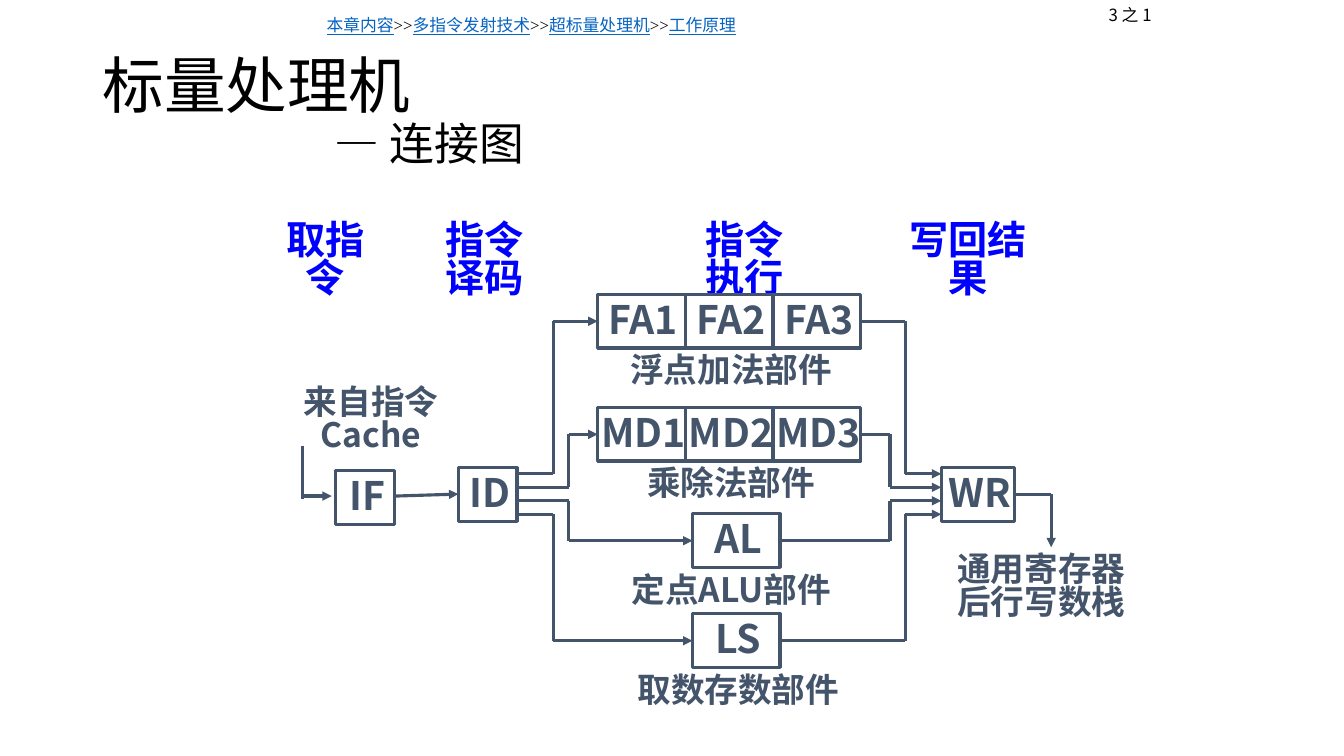
from dataclasses import dataclass

import pptx
import pptx.dml.color
import pptx.enum.shapes
import pptx.enum.text
import pptx.oxml.ns
import pptx.util
from lxml import etree

Cm, Pt = pptx.util.Cm, pptx.util.Pt
RGB = pptx.dml.color.RGBColor.from_string
qn = pptx.oxml.ns.qn
PP_ALIGN = pptx.enum.text.PP_ALIGN
MIDDLE = pptx.enum.text.MSO_ANCHOR.MIDDLE


@dataclass(frozen=True)
class Theme:
    sans: str = "Noto Sans CJK SC"
    serif: str = "Times New Roman"
    black: str = "000000"
    link: str = "0563C1"
    slate: str = "44546A"
    stage: str = "0000FF"
    title: int = 44
    subtitle: int = 32
    block: int = 28
    caption: int = 24
    small: int = 12
    stroke: float = 2.25


theme = Theme()
deck = pptx.Presentation()
deck.slide_width, deck.slide_height = Cm(33.87), Cm(19.05)
slide = deck.slides.add_slide(deck.slide_layouts[5])


def add_label(text, left, top, width, height, size, color, framed=False):
    """Centred bold text, optionally inside an outlined block."""
    bounds = Cm(left), Cm(top), Cm(width), Cm(height)
    if framed:
        label = slide.shapes.add_shape(pptx.enum.shapes.MSO_SHAPE.RECTANGLE, *bounds)
        label.shadow.inherit = False
        label.fill.background()
        label.line.color.rgb = RGB(theme.slate)
        label.line.width = Pt(theme.stroke)
    else:
        label = slide.shapes.add_textbox(*bounds)
    frame = label.text_frame
    frame.text = text
    frame.word_wrap = False
    frame.vertical_anchor = MIDDLE
    frame.margin_left, frame.margin_top = Cm(0.2), Cm(0.1)
    frame.margin_right, frame.margin_bottom = Cm(0.1), Cm(0)
    for line in frame.paragraphs:
        line.alignment = PP_ALIGN.CENTER
        line.line_spacing = 0.8
        font = line.runs[0].font
        font.name, font.size, font.bold = theme.sans, Pt(size), True
        font.color.rgb = RGB(color)


def add_wire(*points, arrow=True):
    """Straight segments through the points, with an arrowhead on the last."""
    for start, end in zip(points, points[1:]):
        wire = slide.shapes.add_connector(
            pptx.enum.shapes.MSO_CONNECTOR.STRAIGHT,
            Cm(start[0]), Cm(start[1]), Cm(end[0]), Cm(end[1]))
        wire.line.color.rgb = RGB(theme.slate)
        wire.line.width = Pt(theme.stroke)
        if arrow and end == points[-1]:
            etree.SubElement(wire.line._get_or_add_ln(), qn("a:tailEnd"), type="triangle")
        etree.SubElement(wire._element.spPr, qn("a:effectLst"))


# Title and indented subtitle
heading = slide.shapes.title
heading.left, heading.top, heading.width, heading.height = Cm(2.33), Cm(1.01), Cm(29.21), Cm(3.68)
heading.text_frame.text = "标量处理机\n— 连接图"
heading.text_frame.vertical_anchor = MIDDLE
for line, size in zip(heading.text_frame.paragraphs, (theme.title, theme.subtitle)):
    line.alignment = PP_ALIGN.LEFT
    line.line_spacing = 0.9
    font = line.runs[0].font
    font.name, font.size = theme.sans, Pt(size)
    font.color.rgb = RGB(theme.black)
heading.text_frame.paragraphs[1]._p.get_or_add_pPr().set("marL", str(Cm(5.85)))

# Breadcrumb trail
trail = slide.shapes.add_textbox(Cm(7.98), Cm(0.25), Cm(21.03), Cm(0.76)).text_frame
trail.word_wrap = True
for part in ("本章内容", ">>", "多指令发射技术", ">>", "超标量处理机", ">>", "工作原理"):
    crumb = trail.paragraphs[0].add_run()
    crumb.text = part
    crumb.font.name, crumb.font.size = theme.serif, Pt(theme.small)
    crumb.font.underline = part != ">>"
    crumb.font.color.rgb = RGB(theme.black if part == ">>" else theme.link)

# Page counter
counter = slide.shapes.add_textbox(Cm(27.31), Cm(0), Cm(2.34), Cm(0.76)).text_frame
counter.word_wrap = True
counter.text = "3 之 1"
counter.paragraphs[0].alignment = PP_ALIGN.CENTER
font = counter.paragraphs[0].runs[0].font
font.name, font.size = theme.sans, Pt(theme.small)
font.color.rgb = RGB(theme.black)

# Pipeline stage names
for stage, left, width in (("取指令", 6.78, 2.74), ("指令译码", 10.8, 2.74),
                           ("指令执行", 17.35, 2.74), ("写回结果", 22.66, 3.38)):
    add_label(stage, left, 5.72, width, 1.68, theme.block, theme.stage)

# Fetch, decode and write-back blocks
block_height = 1.35
decode_right, write_left, write_right = 13.03, 23.72, 25.57
for stage, left, top, width in (("IF", 8.46, 11.86, 1.48), ("ID", 11.55, 11.79, 1.48),
                                ("WR", write_left, 11.79, 1.85)):
    add_label(stage, left, top, width, block_height, theme.block, theme.slate, framed=True)

# Execution units, each wired from decode and to write-back
unit_width = 2.21
units = (
    # blocks, left, top, caption, caption left, bus in, bus out
    (("FA1", "FA2", "FA3"), 15.06, 7.42, "浮点加法部件", 15.06, 13.94, 22.81),
    (("MD1", "MD2", "MD3"), 15.06, 10.27, "乘除法部件", 15.06, 14.33, 22.43),
    (("AL",), 17.45, 12.95, "定点ALU部件", 15.06, 14.33, 22.43),
    (("LS",), 17.45, 15.47, "取数存数部件", 15.24, 13.94, 22.81),
)
for row, (blocks, left, top, caption, caption_left, bus_in, bus_out) in enumerate(units):
    for column, block in enumerate(blocks):
        add_label(block, left + column * unit_width, top, unit_width, block_height,
                  theme.block, theme.slate, framed=True)
    add_label(caption, caption_left, top + block_height, 6.63, 1.17, theme.caption, theme.slate)
    port = 11.94 + row * 0.34
    middle = top + block_height / 2
    right = left + len(blocks) * unit_width
    add_wire((decode_right, port), (bus_in, port), (bus_in, middle), (left, middle))
    add_wire((right, middle), (bus_out, middle), (bus_out, port), (write_left, port))

# Instruction source, fetch-to-decode link and result destination
add_label("来自指令Cache", 6.55, 9.73, 5.51, 1.68, theme.caption, theme.slate)
add_wire((7.62, 11.23), (7.62, 12.57), arrow=False)
add_wire((7.62, 12.5), (8.36, 12.5))
add_wire((9.96, 12.5), (11.55, 12.45))
add_wire((write_right, 12.45), (26.49, 12.45), (26.49, 13.79))
add_label("通用寄存器\n后行写数栈", 23.7, 13.77, 4.98, 2.01, theme.caption, theme.slate)

# East Asian typeface for all text
for shape in slide.shapes:
    if shape.has_text_frame:
        for line in shape.text_frame.paragraphs:
            for run in line.runs:
                etree.SubElement(run.font._rPr, qn("a:ea"), typeface=theme.sans)

deck.save("out.pptx")
